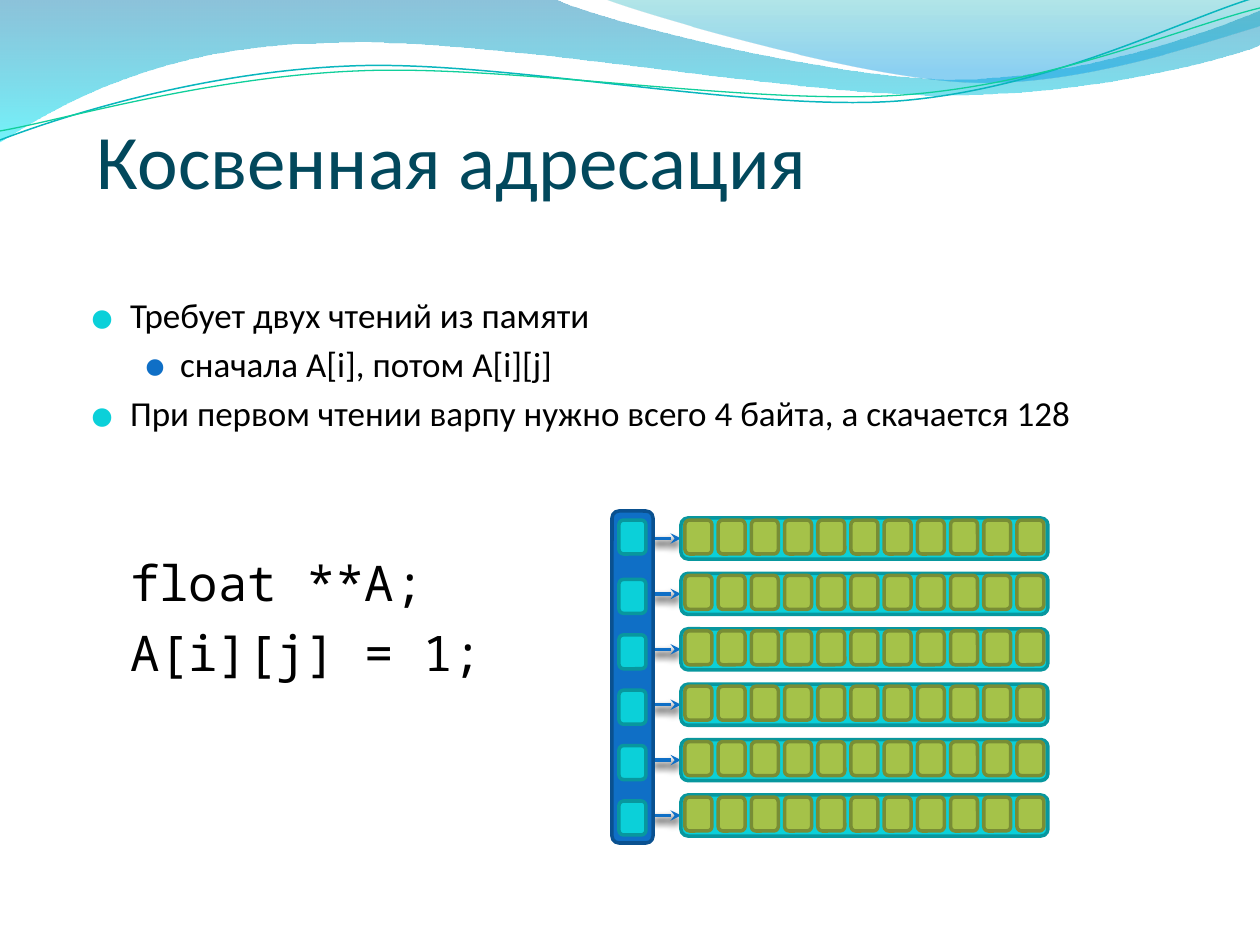
from lxml import etree
from pptx import Presentation
from pptx.dml.color import RGBColor
from pptx.enum.shapes import MSO_CONNECTOR, MSO_SHAPE
from pptx.enum.text import MSO_ANCHOR
from pptx.oxml.ns import qn
from pptx.util import Emu, Pt

ROUND, STRAIGHT = MSO_SHAPE.ROUNDED_RECTANGLE, MSO_CONNECTOR.STRAIGHT
TOP, BOTTOM = MSO_ANCHOR.TOP, MSO_ANCHOR.BOTTOM
BLACK = RGBColor(0x00, 0x00, 0x00)
TITLE = RGBColor(0x02, 0x48, 0x5C)
BLUE, BLUE_EDGE = RGBColor(0x0F, 0x6F, 0xC6), RGBColor(0x0A, 0x51, 0x90)
CYAN, CYAN_EDGE = RGBColor(0x0B, 0xD0, 0xD9), RGBColor(0x08, 0x97, 0x9E)
GREEN, GREEN_EDGE = RGBColor(0xA5, 0xC2, 0x49), RGBColor(0x78, 0x8D, 0x35)

# Content: each body line names its format
HEADING = "Косвенная адресация"
POINT = dict(left=38, hang=38, bullet=CYAN, percent=95, space=4)
SUBPOINT = dict(level=1, left=88, hang=34, bullet=BLUE, percent=85, space=4)
CODE = dict(left=38, font="Noto Sans Mono", size=28, line=40)
CODE_START = dict(CODE, space=62)
BODY = [
    ("Требует двух чтений из памяти", POINT),
    ("сначала A[i], потом A[i][j]", SUBPOINT),
    ("При первом чтении варпу нужно всего 4 байта, а скачается 128", POINT),
    ("float **A;", CODE_START),
    ("A[i][j] = 1;", CODE),
]

# Waves: a start, then segments of one point (line) or three (Bézier)
FILLED_WAVES = [
    ([(0, 0), [(554, -1)], [(600, 21), (837, 79), (955, 79)],
      [(1075, 79), (1207, 33), (1260, 11)], [(1261, 45)],
      [(1239, 55), (1096, 96), (940, 95)], [(784, 95), (481, 35), (324, 43)],
      [(163, 45), (58, 105), (-1, 142)]],
     [(0, RGBColor(0x00, 0x79, 0xAD), 45), (1, RGBColor(0x00, 0xE9, 0xF7), 55)]),
    ([(604, -1), [(641, 14), (859, 78), (969, 82)],
      [(1079, 87), (1211, 40), (1260, 26)], [(1260, 0)]],
     [(0, RGBColor(0x00, 0xAB, 0xB4), 30), (0.8, RGBColor(0x00, 0x99, 0xE4), 45)]),
]
LINE_WAVES = [
    ([(0, 140), [(60, 117), (199, 72), (349, 66)],
      [(498, 59), (747, 112), (898, 101)], [(1050, 89), (1182, 19), (1257, -3)]],
     RGBColor(0x09, 0xB6, 0xBE), 0.85),
    ([(0, 131), [(59, 121), (207, 77), (357, 71)],
      [(508, 64), (752, 106), (903, 95)], [(1053, 84), (1186, 26), (1260, 8)]],
     RGBColor(0x10, 0xCF, 0x9B), 0.75),
]

# Diagram geometry
ROWS, COLS = 6, 11
INDEX_BAR = (612, 511, 41, 332)
ROW_X, ROW_W, ROW_H = 681, 367, 41
FIRST_ROW, LAST_ROW = 518, 795
FIRST_CELL, LAST_CELL = 685, 1017
CELL_W, CELL_H = 27, 34
POINTER_X = 619

PX = 914400 / 126


def px(value):
    return Emu(round(value * PX))


prs = Presentation()
prs.slide_width, prs.slide_height = px(1260), px(945)
s = prs.slides.add_slide(prs.slide_layouts[6])


def add_sub(parent, tag, **attrs):
    return etree.SubElement(parent, qn(tag), {k: str(v) for k, v in attrs.items()})


def format_line(p, text, font="Calibri", size=20, color=BLACK, level=0, left=0,
                hang=0, bullet=None, percent=100, space=0, line=None):
    p.level = level
    if space:
        p.space_before = Pt(space)
    if line:
        p.line_spacing = Pt(line)
    pPr = p._p.get_or_add_pPr()
    pPr.set("marL", str(px(left)))
    pPr.set("indent", str(-px(hang)))
    if bullet:
        add_sub(add_sub(pPr, "a:buClr"), "a:srgbClr", val=bullet)
        add_sub(pPr, "a:buSzPct", val=percent * 1000)
        add_sub(pPr, "a:buFont", typeface="Noto Sans Symbols")
        add_sub(pPr, "a:buChar", char="⚫")
    r = p.add_run()
    r.text = text
    r.font.name, r.font.size, r.font.color.rgb = font, Pt(size), color


def add_text(lines, box, anchor=TOP, inset=(0, 6)):
    tf = s.shapes.add_textbox(*map(px, box)).text_frame
    tf.word_wrap, tf.vertical_anchor = True, anchor
    tf.margin_left = tf.margin_right = px(inset[0])
    tf.margin_top, tf.margin_bottom = px(inset[1]), 0
    for i, (text, style) in enumerate(lines):
        p = tf.add_paragraph() if i else tf.paragraphs[0]
        format_line(p, text, **(style if i else dict(style, space=0)))


def add_wave(path, close):
    start, *segments = path
    points = [(px(x), px(y)) for seg in segments for x, y in seg]
    builder = s.shapes.build_freeform(px(start[0]), px(start[1]))
    builder.add_line_segments(points, close=close)
    sh = builder.convert_to_shape()
    sh.shadow.inherit = False
    # Join each three points of a curved segment into one Bézier
    lines = iter(list(sh._element.spPr.iter(qn("a:lnTo"))))
    for seg in segments:
        group = [next(lines) for _ in seg]
        if len(group) == 3:
            curve = etree.Element(qn("a:cubicBezTo"))
            group[0].addprevious(curve)
            for el in group:
                curve.append(el[0])
                el.getparent().remove(el)
    return sh


def add_block(box, fill, edge):
    sh = s.shapes.add_shape(ROUND, *map(px, box))
    sh.shadow.inherit = False
    sh.adjustments[0] = 0.17
    sh.fill.solid()
    sh.fill.fore_color.rgb = fill
    sh.line.color.rgb, sh.line.width = edge, Pt(2)
    return sh


def add_arrow(x, y):
    c = s.shapes.add_connector(STRAIGHT, px(x), px(y), px(ROW_X), px(y))
    c.line.color.rgb, c.line.width = BLUE, Pt(2)
    add_sub(c.line._get_or_add_ln(), "a:tailEnd", type="stealth")
    shadow = add_sub(add_sub(c._element.spPr, "a:effectLst"), "a:outerShdw",
                     blurRad=Pt(4.5), dist=Pt(3), dir=5400000, rotWithShape=0)
    add_sub(shadow, "a:srgbClr", val=BLACK)
    return c


# Header waves
for path, stops in FILLED_WAVES:
    sh = add_wave(path, True)
    sh.line.fill.background()
    sh.fill.gradient()
    sh.fill.gradient_angle = 270
    for stop, (position, color, _) in zip(sh.fill.gradient_stops, stops):
        stop.position, stop.color.rgb = position, color
    for el, (_, _, opacity) in zip(sh._element.spPr.iter(qn("a:srgbClr")), stops):
        add_sub(el, "a:alpha", val=opacity * 1000)
for path, color, width in LINE_WAVES:
    sh = add_wave(path, False)
    sh.fill.background()
    sh.line.color.rgb, sh.line.width = color, Pt(width)

# Title and body
add_text([(HEADING, dict(size=44, color=TITLE))], (97, 116, 1134, 89), anchor=BOTTOM)
add_text(BODY, (79, 287, 1168, 638), inset=(13, 6))

# Arrows, then the rows they point to
row_tops = [FIRST_ROW + i * (LAST_ROW - FIRST_ROW) / (ROWS - 1) for i in range(ROWS)]
arrows = [add_arrow(INDEX_BAR[0] + INDEX_BAR[2], y + ROW_H / 2) for y in row_tops]
for y, arrow in zip(row_tops, arrows):
    arrow.end_connect(add_block((ROW_X, y, ROW_W, ROW_H), CYAN, CYAN_EDGE), 1)
    for col in range(COLS):
        x = FIRST_CELL + col * (LAST_CELL - FIRST_CELL) / (COLS - 1)
        add_block((x, y + 2, CELL_W, CELL_H), GREEN, GREEN_EDGE)

# Pointer array; its first cell sits a little higher
add_block(INDEX_BAR, BLUE, BLUE_EDGE)
for i, y in enumerate(row_tops):
    add_block((POINTER_X, y + (6 if i else 2), CELL_W, CELL_H), CYAN, CYAN_EDGE)

prs.save("out.pptx")
